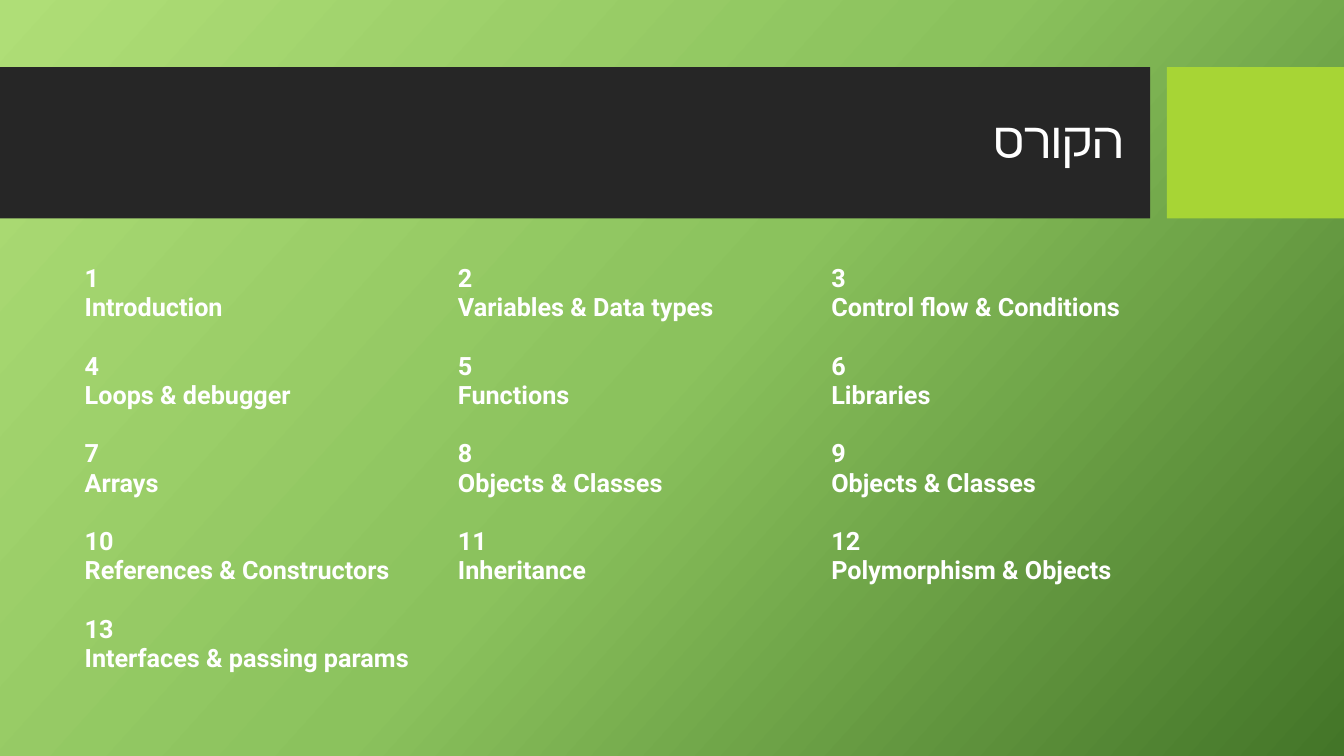
import copy
import pptx
import pptx.util
import pptx.dml.color
import pptx.enum.shapes
import pptx.enum.text
import pptx.oxml
import pptx.oxml.ns

Pt = pptx.util.Pt
RGB = pptx.dml.color.RGBColor
qn = pptx.oxml.ns.qn

TITLE = "הקורס"
TOPICS = [
    "Introduction", "Variables & Data types", "Control flow & Conditions",
    "Loops & debugger", "Functions", "Libraries",
    "Arrays", "Objects & Classes", "Objects & Classes",
    "References & Constructors", "Inheritance", "Polymorphism & Objects",
    "Interfaces & passing params",
]
FONT = "Roboto"
WHITE = RGB(0xFF, 0xFF, 0xFF)
DARK = RGB(0x26, 0x26, 0x26)
LIME = RGB(0xA7, 0xD5, 0x35)
STOPS = [(0, RGB(0xAF, 0xDE, 0x77)), (0.5, RGB(0x8B, 0xC2, 0x5D)),
         (1, RGB(0x43, 0x75, 0x28))]
BARS = [(0, 821.5, DARK), (833.5, 126.5, LIME)]
BAR_TOP, BAR_HIGH = 48, 108
LEFT, COLS, COL_WIDE, ROW_HIGH = 53.3, 3, 266.67, 62.64
PLAIN = "{2D5ABB26-0587-4C30-8999-92F81FD0307C}"


def style(para, size, bold=False):
    for run in para.runs:
        run.font.name = FONT
        run.font.size = Pt(size)
        run.font.bold = bold
        run.font.color.rgb = WHITE


def paint(slide):
    fill = slide.background.fill
    fill.gradient()
    fill.gradient_angle = 318
    stops = next(slide.element.iter(qn("a:gsLst")))
    stops.append(copy.deepcopy(stops[-1]))
    for stop, (place, color) in zip(fill.gradient_stops, STOPS):
        stop.position = place
        stop.color.rgb = color


def add_bars(slide):
    for left, wide, color in BARS:
        bar = slide.shapes.add_shape(
            pptx.enum.shapes.MSO_SHAPE.RECTANGLE,
            Pt(left), Pt(BAR_TOP), Pt(wide), Pt(BAR_HIGH))
        bar.shadow.inherit = False
        bar.fill.solid()
        bar.fill.fore_color.rgb = color
        bar.line.fill.background()


def add_title(slide):
    box = slide.shapes.add_textbox(Pt(LEFT), Pt(59), Pt(756.7), Pt(85))
    frame = box.text_frame
    frame.word_wrap = True
    frame.vertical_anchor = pptx.enum.text.MSO_ANCHOR.MIDDLE
    frame.text = TITLE
    para = frame.paragraphs[0]
    para.alignment = pptx.enum.text.PP_ALIGN.RIGHT
    para.line_spacing = 0.9
    para._p.get_or_add_pPr().set("rtl", "1")
    style(para, 36)
    face = pptx.oxml.parse_xml(
        f'<a:cs {pptx.oxml.ns.nsdecls("a")} typeface="{FONT}"/>')
    para.runs[0]._r.get_or_add_rPr().append(face)


def add_topics(slide):
    rows = -(-len(TOPICS) // COLS)
    frame = slide.shapes.add_table(
        rows, COLS, Pt(LEFT), Pt(185), Pt(COLS * COL_WIDE), Pt(rows * ROW_HIGH))
    table = frame.table
    table.first_row = False
    table.horz_banding = False
    next(frame.element.iter(qn("a:tableStyleId"))).text = PLAIN
    for col in table.columns:
        col.width = Pt(COL_WIDE)
    for row in table.rows:
        row.height = Pt(ROW_HIGH)
    for cell in table.iter_cells():
        cell.fill.background()
    for spot, topic in enumerate(TOPICS):
        cell = table.cell(*divmod(spot, COLS))
        cell.text_frame.text = f"{spot + 1}\n{topic}"
        for para in cell.text_frame.paragraphs:
            style(para, 18, True)


def main():
    deck = pptx.Presentation()
    deck.slide_width, deck.slide_height = Pt(960), Pt(540)
    slide = deck.slides.add_slide(deck.slide_layouts[6])
    paint(slide)
    add_bars(slide)
    add_title(slide)
    add_topics(slide)
    deck.save("out.pptx")


if __name__ == "__main__":
    main()
